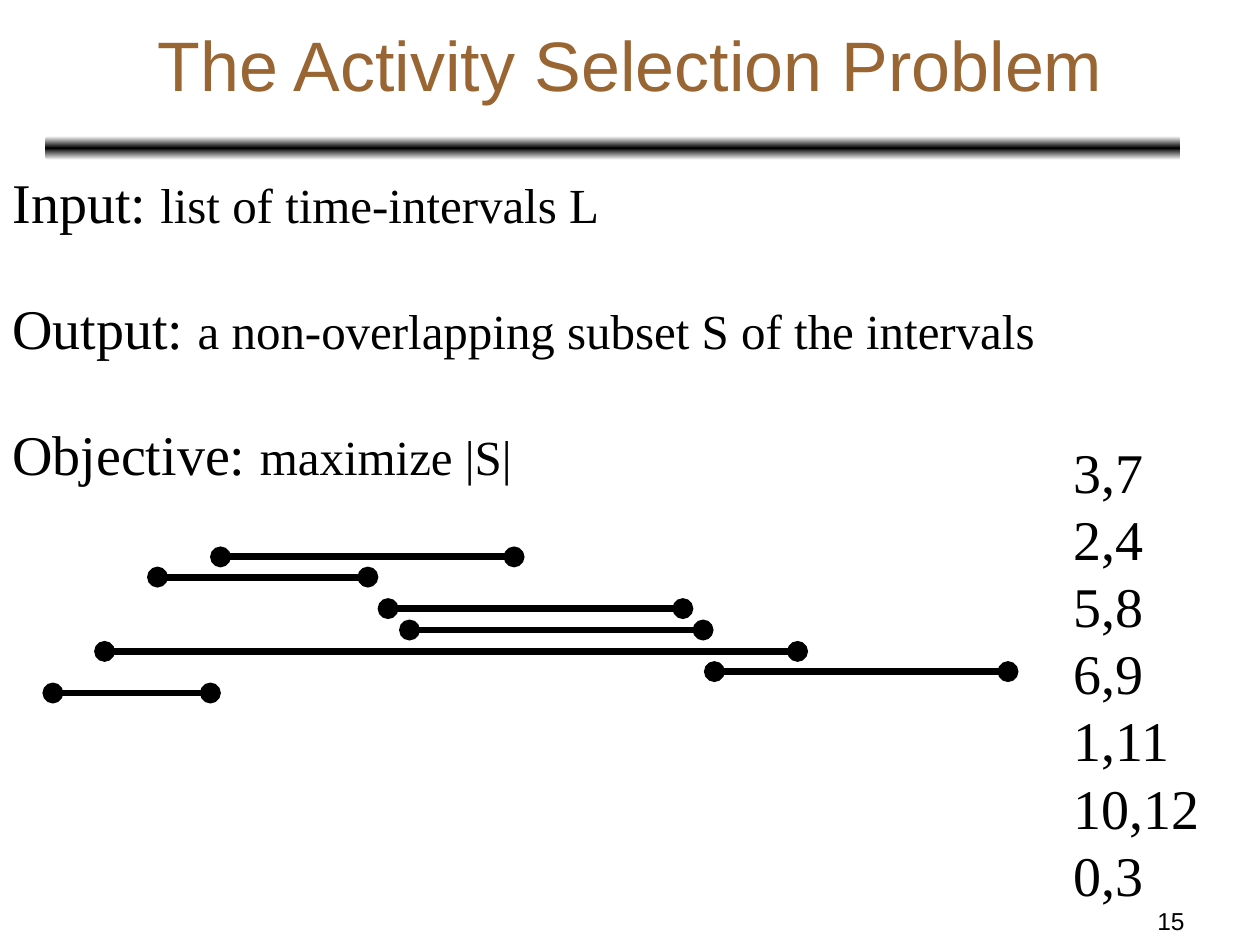
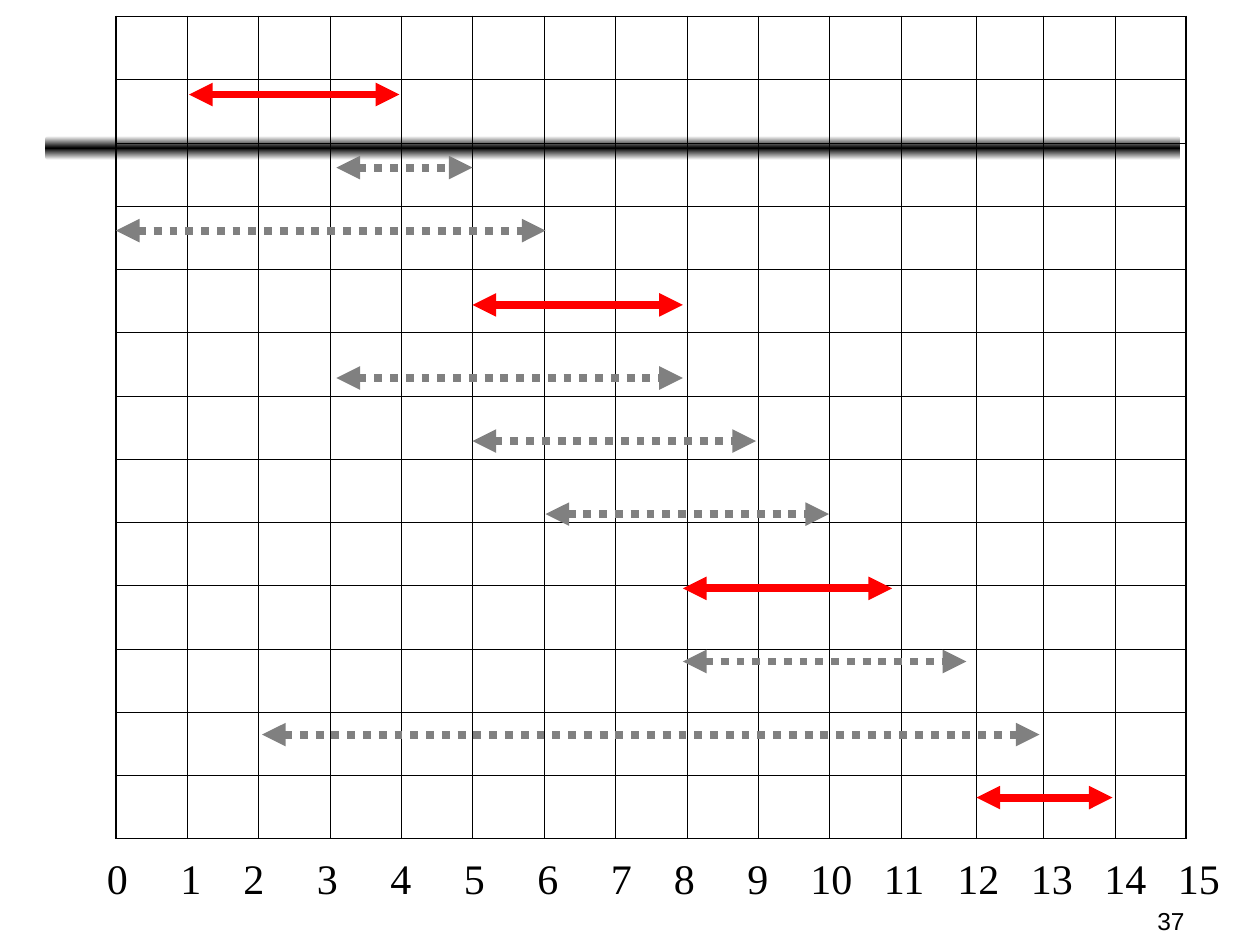
"""Build two slides on the activity selection problem."""
import copy

import pptx
import pptx.dml.color
import pptx.enum.dml
import pptx.enum.shapes
import pptx.enum.text
import pptx.oxml.ns
import pptx.util
from lxml import etree

Inches, Pt = pptx.util.Inches, pptx.util.Pt
RGB = pptx.dml.color.RGBColor
ALIGN = pptx.enum.text.PP_ALIGN
qn = pptx.oxml.ns.qn

BLACK = RGB(0, 0, 0)
WHITE = RGB(255, 255, 255)
BROWN = RGB(0x99, 0x66, 0x33)
RED = RGB(255, 0, 0)
GRAY = RGB(0x80, 0x80, 0x80)
SANS, SERIF = "Arial", "Times New Roman"
LINE_HEIGHT = 1.2

TITLE = "The Activity Selection Problem"
STATEMENT = [
    ("Input: ", "list of time-intervals L"),
    ("Output: ", "a non-overlapping subset S of the intervals"),
    ("Objective: ", "maximize |S|"),
]
# label, left end, right end, height on the slide
INTERVALS = [
    ("3,7", 1.75, 4.08, 4.42),
    ("2,4", 1.25, 2.92, 4.58),
    ("5,8", 3.08, 5.42, 4.83),
    ("6,9", 3.25, 5.58, 5),
    ("1,11", 0.83, 6.33, 5.17),
    ("10,12", 5.67, 8, 5.33),
    ("0,3", 0.42, 1.67, 5.5),
]
ACTIVITIES = [
    (1.5, 3.17, 0.75, True),
    (2.67, 3.75, 1.33, False),
    (0.92, 4.33, 1.83, False),
    (3.75, 5.42, 2.42, True),
    (2.67, 5.42, 3, False),
    (3.75, 6, 3.5, False),
    (4.33, 6.58, 4.08, False),
    (5.42, 7.08, 4.67, True),
    (5.42, 7.67, 5.25, False),
    (2.08, 8.25, 5.83, False),
    (7.75, 8.83, 6.33, True),
]
ROWS, COLS = 13, 15
GRID = (0.92, 0.13, 8.5, 6.53)
ODD_COLUMNS = {11: 0.6, 12: 0.53}
AXIS_SIZE = 24
AXIS_GAPS = [5, 4, 5, 5, 5, 5, 5, 4, 5, 4, 3, 3, 3, 3, 3]


def add_text(slide, box, paragraphs, align=ALIGN.LEFT, middle=False, gap=0, exact=True):
    """Add a text box; each paragraph is a list of (text, size, font, colour)."""
    tf = slide.shapes.add_textbox(*map(Inches, box)).text_frame
    tf.word_wrap = True
    if middle:
        tf.vertical_anchor = pptx.enum.text.MSO_ANCHOR.MIDDLE
    for i, runs in enumerate(paragraphs):
        p = tf.paragraphs[0] if i == 0 else tf.add_paragraph()
        p.alignment = align
        if exact:
            p.line_spacing = Pt(LINE_HEIGHT * runs[0][1])
        if gap and i:
            p.space_before = Pt(gap)
        for text, size, font, color in runs:
            r = p.add_run()
            r.text = text
            r.font.size, r.font.name = Pt(size), font
            r.font.color.rgb = color
    return tf


def add_span(slide, left, right, y, color, width, end, dotted=False):
    """Add a horizontal line with the same mark at both ends."""
    line = slide.shapes.add_connector(
        pptx.enum.shapes.MSO_CONNECTOR.STRAIGHT,
        Inches(left), Inches(y), Inches(right), Inches(y))
    line.line.color.rgb = color
    line.line.width = Pt(width)
    if dotted:
        line.line.dash_style = pptx.enum.dml.MSO_LINE.ROUND_DOT
    ln = line.get_or_add_ln()
    for tag in ("a:headEnd", "a:tailEnd"):
        etree.SubElement(ln, qn(tag), type=end)
    etree.SubElement(line._element.spPr, qn("a:effectLst"))


def add_band(slide):
    """Add the shaded rule under the title area."""
    sp = slide.shapes.add_shape(
        pptx.enum.shapes.MSO_SHAPE.ROUNDED_RECTANGLE,
        *map(Inches, (0.36, 1.08, 9.01, 0.19)))
    sp.shadow.inherit = False
    sp.line.fill.background()
    sp.fill.gradient()
    sp.fill.gradient_angle = 90
    stops = sp._element.spPr.find(".//" + qn("a:gsLst"))
    stops.append(copy.deepcopy(stops[0]))
    for stop, place, color in zip(sp.fill.gradient_stops, (0, 0.5, 1), (WHITE, BLACK, WHITE)):
        stop.position = place
        stop.color.rgb = color


def add_page(prs):
    """Add a blank slide with the band."""
    slide = prs.slides.add_slide(prs.slide_layouts[6])
    add_band(slide)
    return slide


def add_number(slide, number):
    """Add the slide number, clear of the text above it."""
    add_text(slide, (7.17, 7.14, 2.33, 0.35), [[(number, 14, SANS, BLACK)]],
             ALIGN.RIGHT, exact=False)


def add_grid(slide):
    """Add the empty time grid with a heavier outer border."""
    table = slide.shapes.add_table(ROWS, COLS, *map(Inches, GRID)).table
    table.first_row = table.horz_banding = False
    for i, column in enumerate(table.columns):
        column.width = Inches(ODD_COLUMNS.get(i, GRID[2] / COLS))
    for i in range(ROWS):
        table.rows[i].height = Inches(GRID[3] / ROWS)
        for j in range(COLS):
            cell = table.cell(i, j)
            cell.fill.background()
            outer = (j == 0, j == COLS - 1, i == 0, i == ROWS - 1)
            for k, (side, heavy) in enumerate(zip("LRTB", outer)):
                ln = etree.Element(qn("a:ln" + side), w=str(Pt(1.08 if heavy else 0.45)))
                fill = etree.SubElement(ln, qn("a:solidFill"))
                etree.SubElement(fill, qn("a:srgbClr"), val=str(BLACK))
                cell._tc.get_or_add_tcPr().insert(k, ln)


def add_axis(slide):
    """Add the time labels on tab stops, spaced by digit and gap widths."""
    labels = [str(n) for n in range(COLS + 1)]
    text = "\t".join(labels)
    tf = add_text(slide, (0.75, 6.72, 9.15, 0.5), [[(text, AXIS_SIZE, SERIF, BLACK)]])
    tabs = etree.SubElement(tf.paragraphs[0]._p.get_or_add_pPr(), qn("a:tabLst"))
    x = 0
    for label, gap in zip(labels, AXIS_GAPS):
        x += AXIS_SIZE * (len(label) / 2 + gap / 4)
        etree.SubElement(tabs, qn("a:tab"), pos=str(Pt(x)), algn="l")


def build_problem(prs):
    """Build the problem statement slide."""
    slide = add_page(prs)
    add_number(slide, "15")
    add_text(slide, (0, 1.28, 9.96, 2.64),
             [[(head, 32, SERIF, BLACK), (body, 28, SERIF, BLACK)] for head, body in STATEMENT],
             gap=28 * LINE_HEIGHT)
    for _, left, right, y in INTERVALS:
        add_span(slide, left, right, y, BLACK, 4, "oval")
    add_text(slide, (8.42, 3.42, 1.2, 3.84),
             [[(label, 32, SERIF, BLACK)] for label, *_ in INTERVALS])
    add_text(slide, (0.75, 0.17, 8.5, 0.67), [[(TITLE, 40, SANS, BROWN)]],
             ALIGN.CENTER, middle=True, exact=False)


def build_schedule(prs):
    """Build the slide with the chosen activities on a time grid."""
    slide = add_page(prs)
    add_grid(slide)
    add_number(slide, "37")
    for left, right, y, chosen in ACTIVITIES:
        add_span(slide, left, right, y, RED if chosen else GRAY, 4.5, "triangle", not chosen)
    add_axis(slide)


def main():
    """Build and save the deck."""
    prs = pptx.Presentation()
    prs.slide_width, prs.slide_height = Inches(10), Inches(7.5)
    build_problem(prs)
    build_schedule(prs)
    prs.save("out.pptx")


if __name__ == "__main__":
    main()
